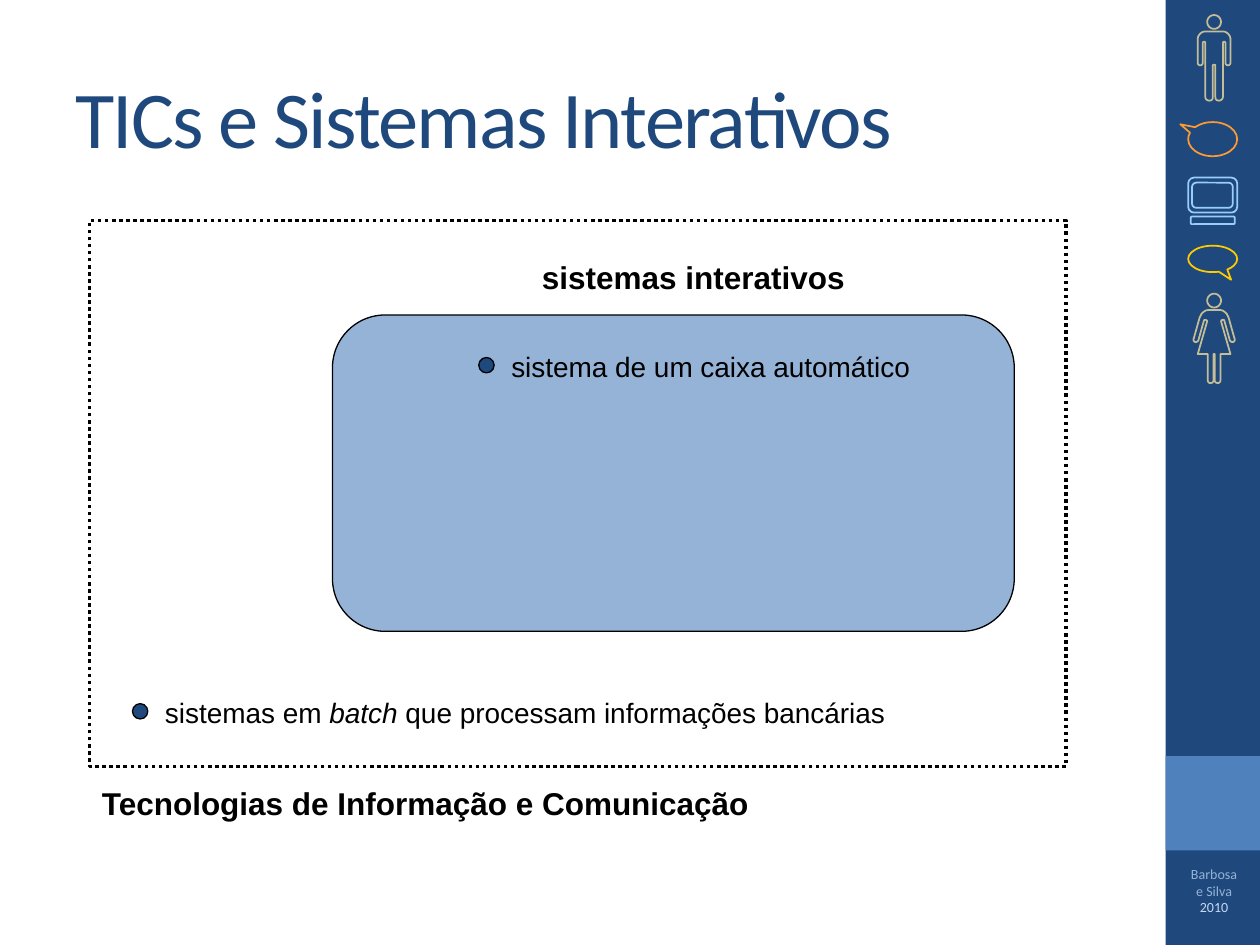
from pptx import Presentation
from pptx import util as u
from pptx.dml import color
from pptx.enum import dml, shapes, text

Pt = u.Pt
KIND = shapes.MSO_SHAPE
NAVY, SKY, BLACK = "1F497D", "95B3D7", "000000"
SAND, ORANGE, ICE, GOLD = "C4BD97", "FF9933", "99CCFF", "FFCC00"

HEAD = [(0, 0), (3, 0, 5.5, 2.5, 5.5, 5.5), (5.5, 8.5, 3, 11, 0, 11)]
MAN = [(0, 13), (7, 13), (10, 13, 13, 16, 13, 19), (13, 38),
       (13, 39, 12, 40, 11, 40), (10, 40, 9, 39, 9, 38), (9, 22),
       (9, 21, 7, 21, 7, 22), (7, 65), (7, 67, 5, 68, 4, 68),
       (2, 68, 1, 67, 1, 65), (1, 40), (1, 39.5, 0.5, 39.5, 0, 39.5)]
WOMAN = [(0, 13), (5, 13), (7, 13, 9, 15, 10, 16), (10.5, 17, 11, 18, 11.5, 19),
         (16, 35), (17, 37, 16, 38, 15, 38.5), (14, 38.5, 13, 38, 12.5, 37),
         (8, 21), (7, 20.5, 5.5, 21, 5.5, 22), (13, 48), (5, 48), (5, 69),
         (5, 70, 4, 71, 3, 71), (1.5, 71, 0.5, 70, 0.5, 69), (0.5, 48), (0, 48)]


def rgb(value):
    return color.RGBColor.from_string(value)


def paint(shape, fill=None, line=None, **line_format):
    shape.shadow.inherit = False
    if fill:
        shape.fill.solid()
        shape.fill.fore_color.rgb = rgb(fill)
    else:
        shape.fill.background()
    if line:
        shape.line.color.rgb = rgb(line)
        for name, value in line_format.items():
            setattr(shape.line, name, value)
    else:
        shape.line.fill.background()


def add_form(slide, kind, box, adjust=(), **look):
    form = slide.shapes.add_shape(kind, *map(Pt, box))
    for index, value in enumerate(adjust):
        form.adjustments[index] = value
    paint(form, **look)


def add_text(slide, box, runs, size, align=text.PP_ALIGN.LEFT,
             anchor=text.MSO_ANCHOR.TOP, font="Arial", bold=False, spacing=None):
    frame = slide.shapes.add_textbox(*map(Pt, box)).text_frame
    for name, value in {"word_wrap": True, "vertical_anchor": anchor}.items():
        setattr(frame, name, value)
    paragraph = frame.paragraphs[0]
    paragraph.alignment = align
    for words, ink, italic in runs:
        run = paragraph.add_run()
        run.text = words
        style = {"name": font, "size": Pt(size), "bold": bold, "italic": italic}
        for name, value in style.items():
            setattr(run.font, name, value)
        run.font.color.rgb = rgb(ink)
        if spacing:
            run.font._element.set("spc", str(spacing))


def trace(half, steps=6):
    points = [half[0]]
    for part in half[1:]:
        if len(part) == 2:
            points.append(part)
            continue
        start = points[-1]
        controls = [start, part[:2], part[2:4], part[4:]]
        for step in range(1, steps + 1):
            t = step / steps
            weights = ((1 - t) ** 3, 3 * t * (1 - t) ** 2, 3 * t * t * (1 - t), t ** 3)
            points.append(tuple(sum(w * c[axis] for w, c in zip(weights, controls))
                                for axis in (0, 1)))
    return points + [(-x, y) for x, y in reversed(points[:-1])]


def add_person(slide, center, top, body):
    unit = 0.72
    outlines = [[(Pt(center + x * unit), Pt(top + y * unit)) for x, y in trace(half)]
                for half in (body, HEAD)]
    builder = slide.shapes.build_freeform(*outlines[0][0], scale=1.0)
    builder.add_line_segments(outlines[0][1:], close=True)
    builder.move_to(*outlines[1][0])
    builder.add_line_segments(outlines[1][1:], close=True)
    paint(builder.convert_to_shape(), line=SAND, width=Pt(1))


def add_computer(slide, left, top):
    for dx, dy, width, height in ((0, 0, 28, 20), (2.2, 2.9, 23.3, 14.4),
                                  (1.4, 22.3, 25.2, 4.3)):
        add_form(slide, KIND.ROUNDED_RECTANGLE, (left + dx, top + dy, width, height),
                 line=ICE, width=Pt(1))


def add_sidebar(slide, left, top, width, height):
    add_form(slide, KIND.RECTANGLE, (left, top, width, height), fill=NAVY)
    add_form(slide, KIND.RECTANGLE, (left, top + 432, width, width), fill="4F81BD")
    icon_left, center = left + 13, left + 27.8
    add_person(slide, center, top + 8.6, MAN)
    for offset, tall, tail, ink in ((69.8, 19.5, (-0.662, -0.436), ORANGE),
                                    (140.4, 15.1, (0.376, 0.789), GOLD)):
        add_form(slide, KIND.OVAL_CALLOUT, (icon_left, top + offset, 28, tall),
                 tail, line=ink, width=Pt(1))
    add_computer(slide, icon_left, top + 101.5)
    add_person(slide, center, top + 167.8, WOMAN)
    add_text(slide, (left + 5.8, top + 491, 44, 40),
             [("Barbosa e Silva ", SKY, False), ("2010", "C6D9F1", False)],
             8, text.PP_ALIGN.CENTER, font="Calibri")


def add_example(slide, left, top, width, runs):
    add_form(slide, KIND.OVAL, (left, top + 8.3, 8.8, 8.8),
             fill=NAVY, line=BLACK, width=Pt(0.75))
    add_text(slide, (left + 11.5, top, width, 26.6), runs, 16)


def add_diagram(slide, left, top, width, height):
    add_form(slide, KIND.RECTANGLE, (left, top, width, height), fill="FFFFFF",
             line=BLACK, width=Pt(2), dash_style=dml.MSO_LINE.ROUND_DOT)
    add_text(slide, (left + 246, top + 18, 198, 29),
             [("sistemas interativos", BLACK, False)], 18,
             text.PP_ALIGN.CENTER, bold=True)
    add_form(slide, KIND.FLOWCHART_ALTERNATE_PROCESS,
             (left + 138.8, top + 54, 389.6, 180.8),
             fill=SKY, line=BLACK, width=Pt(0.75))
    add_text(slide, (left, top + height + 6.4, 408, 29),
             [("Tecnologias de Informação e Comunicação", BLACK, False)], 18, bold=True)
    add_example(slide, left + 222.4, top + 70, 252,
                [("sistema de um caixa automático", BLACK, False)])
    add_example(slide, left + 24.5, top + 267.8, 438,
                [("sistemas em ", BLACK, False), ("batch", BLACK, True),
                 (" que processam informações bancárias", BLACK, False)])


def add_title(slide, *box):
    add_text(slide, box, [("TICs e Sistemas Interativos", NAVY, False)], 46,
             anchor=text.MSO_ANCHOR.MIDDLE, font="Calibri", spacing=-100)


def main():
    deck = Presentation()
    deck.slide_width, deck.slide_height = Pt(720), Pt(540)
    slide = deck.slides.add_slide(deck.slide_layouts[6])
    add_sidebar(slide, 666, 0, 54, 540)
    add_title(slide, 36, 21.6, 600, 90)
    add_diagram(slide, 51.2, 126, 558, 312)
    deck.save("out.pptx")


if __name__ == "__main__":
    main()
